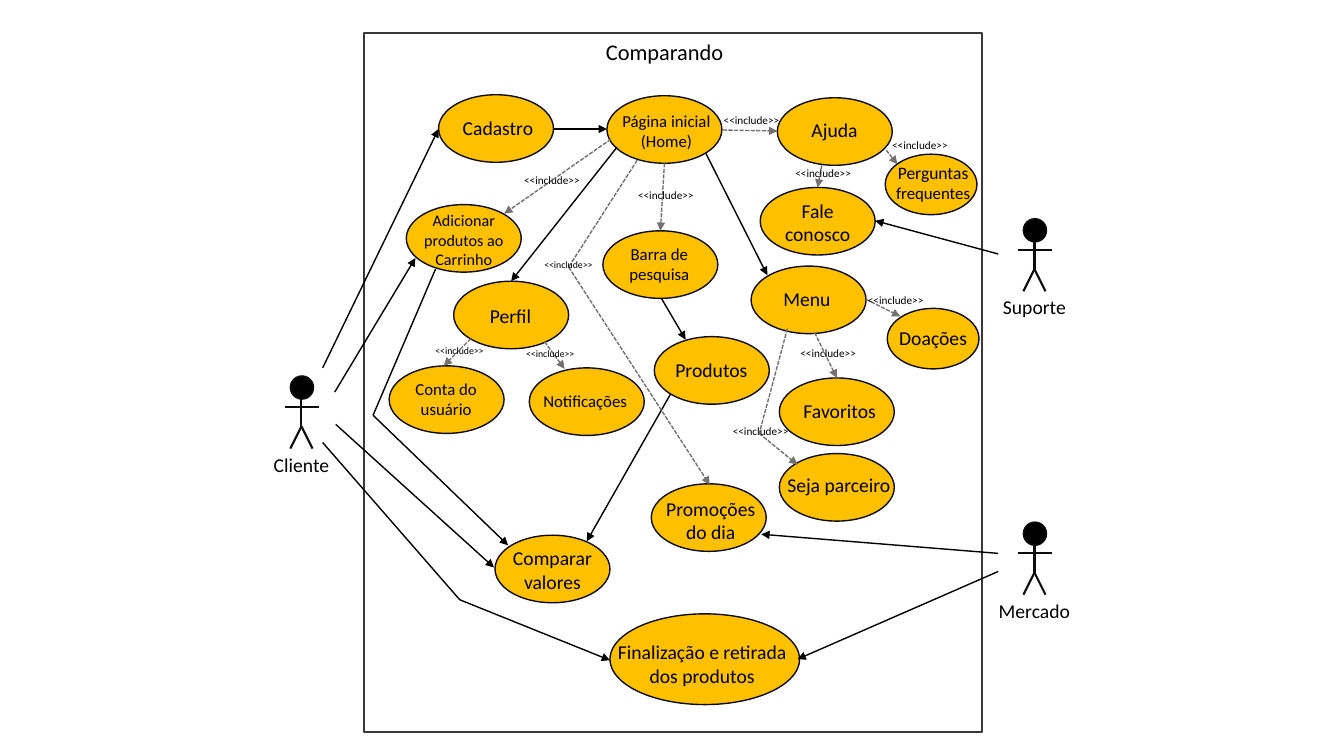
from dataclasses import dataclass
from itertools import pairwise

from lxml import etree
from pptx import Presentation
from pptx import util as u
from pptx.dml.color import RGBColor
from pptx.enum import dml, shapes, text
from pptx.oxml import ns


@dataclass(frozen=True)
class Theme:
    font: str = "Calibri"
    ink: str = "000000"
    outline: str = "0D0D0D"
    frame: str = "3B3838"
    use_case: str = "FFC000"
    include: str = "767171"
    title: float = 16
    large: float = 14
    medium: float = 12
    thin: float = 1
    thick: float = 1.5


THEME = Theme()
CENTER, LEFT = text.PP_ALIGN.CENTER, text.PP_ALIGN.LEFT
SYSTEM = (3.61, 0.33, 6.13, 6.93)
OVAL = (1.14, 0.67)
SMALL_OVAL = (0.91, 0.6)
WIDE_OVAL = (1.88, 0.9)

ACTORS = [("Cliente", 2.83, 3.73), ("Suporte", 10.1, 2.17), ("Mercado", 10.1, 5.18)]

# Each use case: runs per paragraph, oval position and size, label offset and size, alignment.
USE_CASES = [
    ([[("Cadastro", THEME.large)]], (4.35, 0.94), OVAL, (0.14, 0.16, 0.91, 0.34), LEFT),
    ([[("Página inicial (Home)", THEME.medium)]], (6.02, 0.95), OVAL, (0.04, 0.1, 1.1, 0.5), CENTER),
    ([[("Ajuda", THEME.large)]], (7.71, 0.97), OVAL, (0.24, 0.15, 0.69, 0.34), LEFT),
    ([[("Perguntas ", 12.5), ("frequentes", THEME.medium)]], (8.78, 1.53), SMALL_OVAL,
     (-0.01, 0.03, 0.97, 0.51), CENTER),
    ([[("Fale conosco", THEME.large)]], (7.54, 1.86), OVAL, (0.11, 0.06, 0.92, 0.57), CENTER),
    ([[("Adicionar produtos ao Carrinho", 11.5)]], (4.03, 2.03), OVAL, (-0.12, 0.01, 1.38, 0.71), CENTER),
    ([[("Barra de", THEME.medium)], [("pesquisa", THEME.medium)]], (5.98, 2.29), OVAL,
     (-0.2, 0.08, 1.52, 0.5), CENTER),
    ([[("Perfil", THEME.large)]], (4.5, 2.79), OVAL, (0.26, 0.18, 0.71, 0.34), LEFT),
    ([[("Menu", THEME.large)]], (7.45, 2.64), OVAL, (0.22, 0.16, 0.71, 0.34), LEFT),
    ([[("Doações", THEME.large)]], (8.8, 3.06), SMALL_OVAL, (0.02, 0.12, 0.9, 0.34), LEFT),
    ([[("Produtos", THEME.large)]], (6.49, 3.34), OVAL, (0.11, 0.16, 1.05, 0.34), LEFT),
    ([[("Conta do usuário", THEME.medium)]], (3.86, 3.63), OVAL, (0.11, 0.08, 0.91, 0.5), CENTER),
    ([[("Notificações", THEME.medium)]], (5.25, 3.65), OVAL, (0.04, 0.18, 1.22, 0.3), LEFT),
    ([[("Favoritos", THEME.large)]], (7.73, 3.75), OVAL, (0.14, 0.16, 0.98, 0.34), LEFT),
    ([[("Seja parceiro", THEME.large)]], (7.73, 4.5), OVAL, (-0.02, 0.14, 1.25, 0.34), LEFT),
    ([[("Promoções", THEME.large)], [("do dia", THEME.large)]], (6.46, 4.8), OVAL,
     (0, 0.08, 1.18, 0.57), CENTER),
    ([[("Comparar valores", THEME.large)]], (4.91, 5.31), OVAL, (0.07, 0.06, 1, 0.57), CENTER),
    ([[("Finalização e retirada dos produtos", THEME.large)]], (6.05, 6.09), WIDE_OVAL,
     (-0.1, 0.21, 2.03, 0.57), CENTER),
]

FLOWS = [
    [(3.2, 3.65), (4.35, 1.28)],
    [(3.32, 3.89), (4.12, 2.56)],
    [(3.33, 4.21), (4.9, 5.63)],
    [(3.2, 4.39), (4.56, 5.95), (6.05, 6.55)],
    [(5.49, 1.28), (6.02, 1.28)],
    [(6.12, 1.46), (5.07, 2.79)],
    [(7, 1.52), (7.61, 2.73)],
    [(6.56, 2.96), (6.8, 3.37)],
    [(6.65, 3.91), (5.82, 5.37)],
    [(4.32, 2.67), (3.7, 4.12), (5.04, 5.41)],
    [(9.9, 2.52), (8.68, 2.19)],
    [(9.9, 5.49), (7.55, 5.3)],
    [(9.9, 5.67), (7.91, 6.54)],
]

INCLUDES = [
    ([(7.17, 1.29), (7.71, 1.3)], (7.08, 1.08), 8),
    ([(6.59, 1.62), (6.55, 2.29)], (6.23, 1.82), 8),
    ([(6.06, 1.38), (5, 2.12)], (5.1, 1.67), 8),
    ([(6.32, 1.59), (5.64, 2.65), (7.04, 4.81)], (5.3, 2.52), 7),
    ([(4.67, 3.36), (4.4, 3.63)], (4.22, 3.37), 7),
    ([(5.4, 3.39), (5.6, 3.66)], (5.12, 3.4), 7),
    ([(8.15, 1.64), (8.11, 1.86)], (7.79, 1.6), 8),
    ([(8.79, 1.49), (8.9, 1.63)], (8.75, 1.32), 8),
    ([(8.59, 2.97), (8.93, 3.14)], (8.51, 2.86), 8),
    ([(8.08, 3.3), (8.3, 3.75)], (7.84, 3.39), 8),
    ([(7.81, 3.26), (7.53, 4.3), (7.91, 4.61)], (7.17, 4.16), 8),
]


def inches(*lengths):
    return [u.Inches(length) for length in lengths]


def write(frame, paragraphs, align):
    frame.word_wrap = True
    frame.vertical_anchor = text.MSO_ANCHOR.TOP
    for number, runs in enumerate(paragraphs):
        paragraph = frame.add_paragraph() if number else frame.paragraphs[0]
        paragraph.alignment = align
        for words, size in runs:
            run = paragraph.add_run()
            run.text = words
            run.font.name = THEME.font
            run.font.size = u.Pt(size)
            run.font.color.rgb = RGBColor.from_string(THEME.ink)


def label(slide, box, paragraphs, align=LEFT):
    caption = slide.shapes.add_textbox(*inches(*box))
    write(caption.text_frame, paragraphs, align)
    caption.text_frame.auto_size = text.MSO_AUTO_SIZE.SHAPE_TO_FIT_TEXT


def outlined(slide, kind, box, fill, color, width):
    outline = slide.shapes.add_shape(kind, *inches(*box))
    outline.shadow.inherit = False
    if fill:
        outline.fill.solid()
        outline.fill.fore_color.rgb = RGBColor.from_string(fill)
    else:
        outline.fill.background()
    outline.line.color.rgb = RGBColor.from_string(color)
    outline.line.width = u.Pt(width)


def stroke(slide, start, end, color, width, dashed=False, arrow=False):
    link = slide.shapes.add_connector(shapes.MSO_CONNECTOR.STRAIGHT, *inches(*start, *end))
    link.line.color.rgb = RGBColor.from_string(color)
    link.line.width = u.Pt(width)
    if dashed:
        link.line.dash_style = dml.MSO_LINE.SQUARE_DOT
    properties = link._element.spPr
    if arrow:
        tail = etree.SubElement(properties.find(ns.qn("a:ln")), ns.qn("a:tailEnd"))
        tail.set("type", "triangle")
    etree.SubElement(properties, ns.qn("a:effectLst"))


def route(slide, points, color, dashed=False):
    for start, end in pairwise(points):
        stroke(slide, start, end, color, THEME.thin, dashed, arrow=end == points[-1])


def system(slide, left, top, width, height):
    outlined(slide, shapes.MSO_SHAPE.RECTANGLE, (left, top, width, height), None, THEME.frame, THEME.thick)
    title = slide.shapes.title
    title.left, title.top, title.width, title.height = inches(left + 2.3, top, 1.55, 0.37)
    write(title.text_frame, [[("Comparando", THEME.title)]], LEFT)
    title.text_frame.auto_size = text.MSO_AUTO_SIZE.NONE


def actor(slide, name, left, top):
    middle, hip, foot, arms = left + 0.16, top + 0.5, top + 0.72, top + 0.31
    limbs = [
        ((middle, top + 0.19), (middle, hip)),
        ((middle, hip), (middle - 0.11, foot)),
        ((middle, hip), (middle + 0.11, foot)),
        ((left, arms), (left + 0.33, arms)),
    ]
    for start, end in limbs:
        stroke(slide, start, end, THEME.outline, THEME.thick)
    outlined(slide, shapes.MSO_SHAPE.OVAL, (left + 0.05, top, 0.23, 0.23), THEME.ink, THEME.outline, THEME.thin)
    label(slide, (middle - 0.5, top + 0.71, 1, 0.34), [[(name, THEME.large)]], CENTER)


def use_case(slide, paragraphs, position, size, caption, align):
    outlined(slide, shapes.MSO_SHAPE.OVAL, (*position, *size), THEME.use_case, THEME.outline, THEME.thin)
    dx, dy, width, height = caption
    label(slide, (position[0] + dx, position[1] + dy, width, height), paragraphs, align)


def include(slide, points, position, size):
    route(slide, points, THEME.include, dashed=True)
    label(slide, (*position, 0.8, 0.24), [[("<<include>>", size)]])


def main():
    deck = Presentation()
    deck.slide_width, deck.slide_height = inches(13.33, 7.5)
    slide = deck.slides.add_slide(deck.slide_layouts.get_by_name("Title Only"))
    system(slide, *SYSTEM)
    for person in ACTORS:
        actor(slide, *person)
    for case in USE_CASES:
        use_case(slide, *case)
    for points in FLOWS:
        route(slide, points, THEME.ink)
    for inclusion in INCLUDES:
        include(slide, *inclusion)
    deck.save("out.pptx")


if __name__ == "__main__":
    main()
